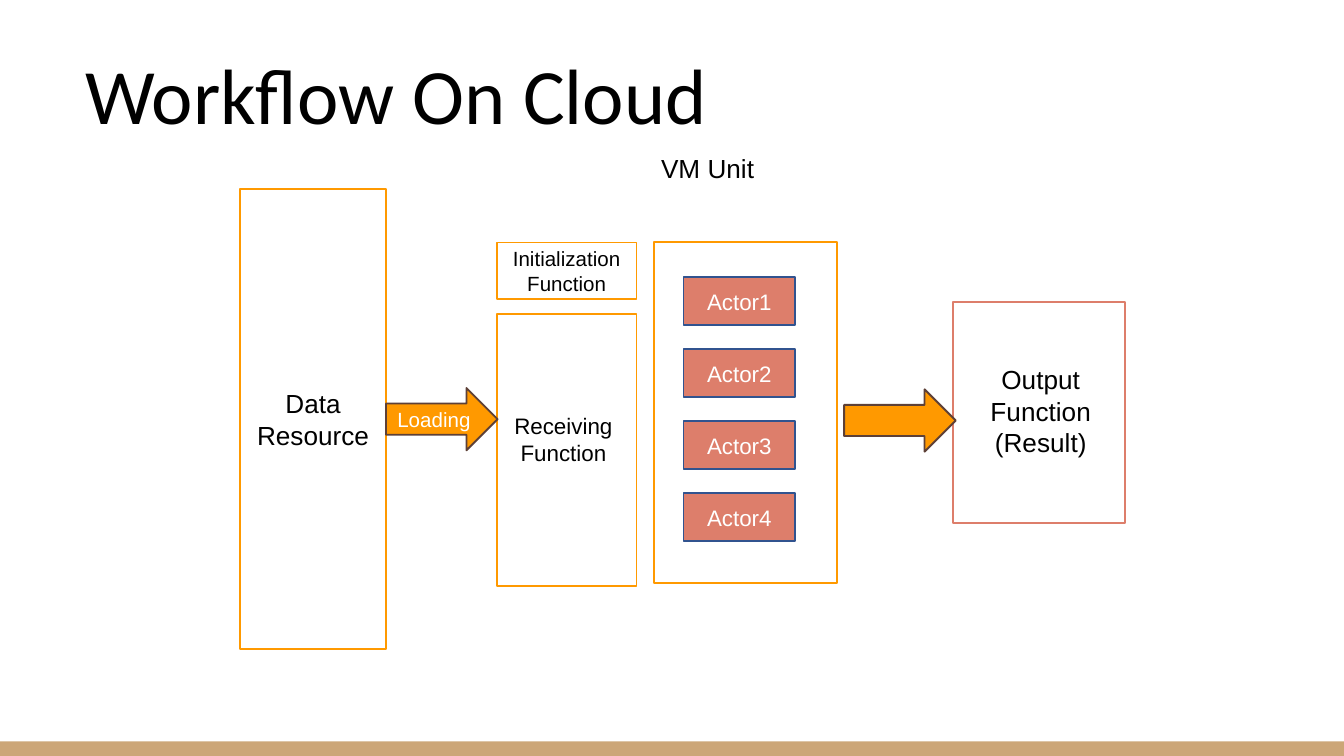
from dataclasses import dataclass

from pptx import Presentation
from pptx.dml.color import RGBColor as Rgb
from pptx.enum.shapes import MSO_SHAPE as Preset
from pptx.enum.text import MSO_ANCHOR as Anchor, PP_ALIGN as Align
from pptx.util import Pt


@dataclass(frozen=True)
class Theme:
    """Colours, fonts and type sizes of the slide."""
    paper: str = "FFFFFF"
    ink: str = "000000"
    orange: str = "FF9900"
    coral: str = "DD7E6B"
    navy: str = "31538F"
    brown: str = "5D4037"
    tan: str = "CCA677"
    heading_font: str = "Calibri"
    body_font: str = "Arial"
    heading: float = 42
    large: float = 14
    medium: float = 12
    small: float = 11


class Diagram:
    """Draws the workflow elements on one slide in a shared style."""

    def __init__(self, slide, theme):
        self.shapes = slide.shapes
        self.theme = theme

    def set_text(self, frame, text, size, color, font=None, align=Align.CENTER, anchor=Anchor.MIDDLE):
        frame.word_wrap = True
        frame.vertical_anchor = anchor
        frame.margin_left = frame.margin_right = Pt(5.4)
        frame.margin_top = frame.margin_bottom = Pt(2.7)
        frame.text = text
        for paragraph in frame.paragraphs:
            paragraph.alignment = align
            for run in paragraph.runs:
                run.font.size = Pt(size)
                run.font.name = font or self.theme.body_font
                run.font.color.rgb = Rgb.from_string(color)

    def block(self, box, fill=None, line=None, text="", size=None, color=None, preset=Preset.RECTANGLE):
        block = self.shapes.add_shape(preset, *map(Pt, box))
        block.shadow.inherit = False
        if fill:
            block.fill.solid()
            block.fill.fore_color.rgb = Rgb.from_string(fill)
        else:
            block.fill.background()
        if line:
            block.line.color.rgb = Rgb.from_string(line)
            block.line.width = Pt(1)
        else:
            block.line.fill.background()
        if text:
            self.set_text(block.text_frame, text, size, color or self.theme.ink)

    def arrow(self, left, top, text=""):
        theme = self.theme
        self.block((left, top, 59.8, 33.4), theme.orange, theme.brown, text,
                   theme.small, theme.paper, Preset.RIGHT_ARROW)

    def label(self, box, text, size):
        caption = self.shapes.add_textbox(*map(Pt, box))
        self.set_text(caption.text_frame, text, size, self.theme.ink, anchor=Anchor.TOP)

    def title(self, box, text):
        theme = self.theme
        heading = self.shapes.add_textbox(*map(Pt, box))
        self.set_text(heading.text_frame, text, theme.heading, theme.ink, theme.heading_font, Align.LEFT)
        heading.text_frame.paragraphs[0].line_spacing = 0.9


theme = Theme()
deck = Presentation()
deck.slide_width, deck.slide_height = Pt(720), Pt(405)
diagram = Diagram(deck.slides.add_slide(deck.slide_layouts[6]), theme)

diagram.block((0, 397.2, 720, 7.8), theme.tan)
diagram.title((40.3, 27.4, 648.7, 51.8), "Workflow On Cloud")

diagram.block((128.6, 101.2, 78.2, 246.6), theme.paper, theme.orange, "Data\nResource", theme.large)

diagram.block((266.2, 129.9, 74.8, 30.4), theme.paper, theme.orange, "Initialization Function", theme.small)
diagram.block((266.2, 168.3, 74.8, 145.6), theme.paper, theme.orange)
diagram.label((266.2, 218.2, 71.3, 34.6), "Receiving\nFunction", theme.medium)

diagram.label((316.1, 79.2, 126, 22.3), "VM Unit", theme.large)
diagram.block((350.4, 129.6, 98.1, 182.7), None, theme.orange)
for index in range(4):
    diagram.block((366.2, 148.4 + 38.6 * index, 59.8, 25.9), theme.coral, theme.navy,
                  f"Actor{index + 1}", theme.medium, theme.paper)

diagram.block((510.4, 161.9, 92.2, 118.4), theme.paper, theme.coral)
diagram.label((521.9, 192.2, 71.3, 56.2), "Output\nFunction\n(Result)", theme.large)

diagram.arrow(206.8, 207.9, "Loading")
diagram.arrow(452.2, 208.6)

deck.save("out.pptx")
